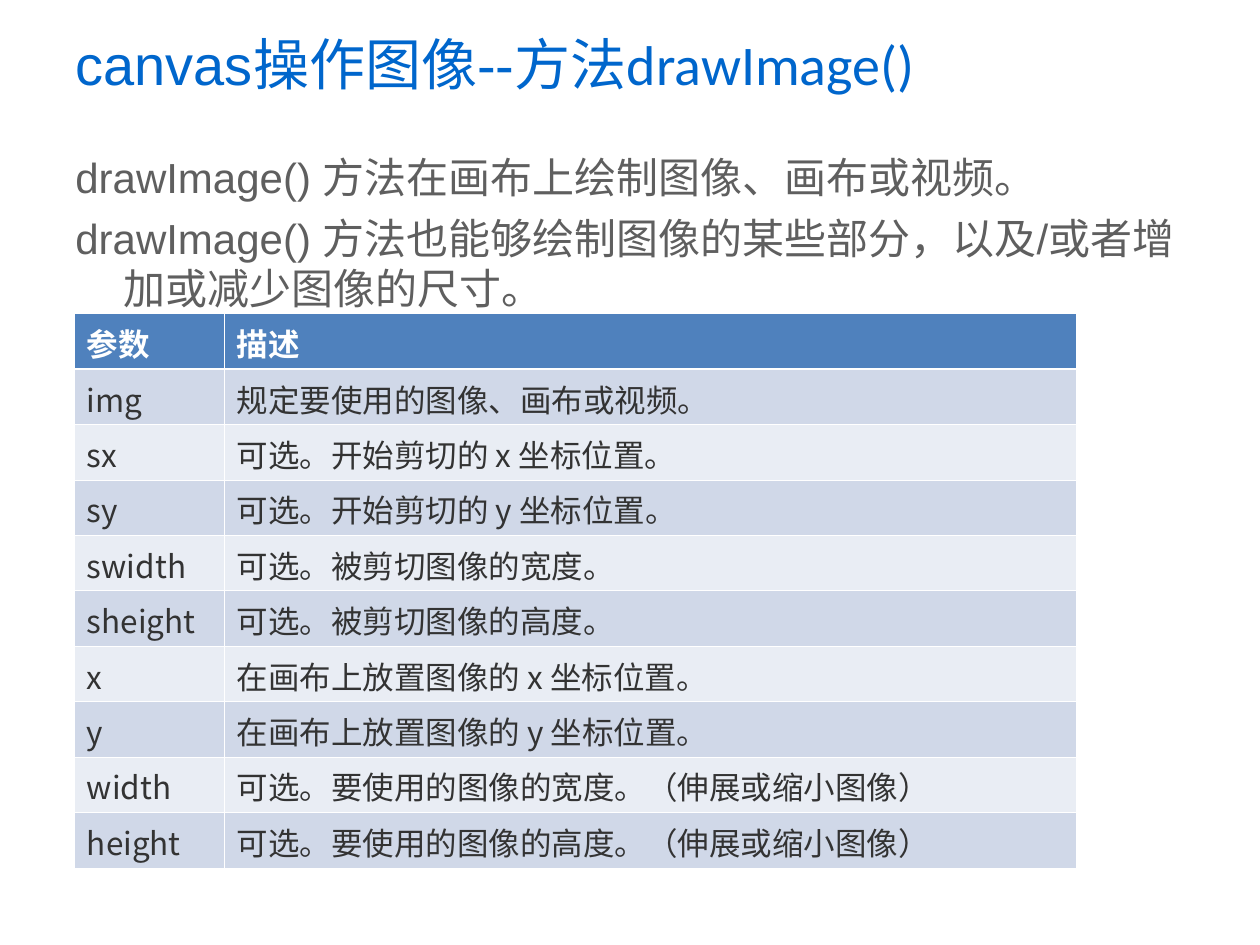
from lxml import etree
from pptx import Presentation, util as u
from pptx.dml.color import RGBColor
from pptx.enum import text
from pptx.oxml.ns import qn

TITLE = [("canvas操作图像--方法", "Arial"), ("drawImage()", "Calibri")]
BODY = [
    "drawImage() 方法在画布上绘制图像、画布或视频。",
    "drawImage() 方法也能够绘制图像的某些部分，以及/或者增加或减少图像的尺寸。",
]
PARAMETERS = [
    ("参数", "描述"),
    ("img", "规定要使用的图像、画布或视频。"),
    ("sx", "可选。开始剪切的 x 坐标位置。"),
    ("sy", "可选。开始剪切的 y 坐标位置。"),
    ("swidth", "可选。被剪切图像的宽度。"),
    ("sheight", "可选。被剪切图像的高度。"),
    ("x", "在画布上放置图像的 x 坐标位置。"),
    ("y", "在画布上放置图像的 y 坐标位置。"),
    ("width", "可选。要使用的图像的宽度。（伸展或缩小图像）"),
    ("height", "可选。要使用的图像的高度。（伸展或缩小图像）"),
]
COLORS = {"title": "0066CC", "body": "5F5F5F", "cell": "333333", "white": "FFFFFF",
          "header": "4F81BD", "odd": "D0D8E8", "even": "E9EDF4"}
TABLE_FONT = "Noto Sans CJK SC"
COLUMNS = (1.19, 6.76)
ROW_HEIGHT = 0.44
THIN, THICK = 0.45, 1.47


def color(name):
    return RGBColor.from_string(COLORS[name])


def style(para, size, name, ink, bold=False):
    font = para.font
    font.size, font.name, font.bold = u.Pt(size), name, bold
    font.color.rgb = color(ink)


def add_text_frame(page, left, top, width, height, anchor):
    box = page.shapes.add_textbox(*map(u.Inches, (left, top, width, height)))
    frame = box.text_frame
    frame.word_wrap = True
    frame.vertical_anchor = anchor
    return frame


def set_borders(cell, top, bottom):
    """Draw white lines on all four sides, placed before the cell's fill."""
    properties = cell._tc.get_or_add_tcPr()
    widths = {"a:lnL": THIN, "a:lnR": THIN, "a:lnT": top, "a:lnB": bottom}
    for position, (tag, width) in enumerate(widths.items()):
        line = etree.Element(qn(tag), w=str(u.Pt(width)))
        fill = etree.SubElement(line, qn("a:solidFill"))
        etree.SubElement(fill, qn("a:srgbClr"), val=COLORS["white"])
        properties.insert(position, line)


def add_title(page):
    frame = add_text_frame(page, 0.5, 0, 7.65, 1, text.MSO_ANCHOR.MIDDLE)
    para = frame.paragraphs[0]
    style(para, 32, "Arial", "title")
    for words, font_name in TITLE:
        span = para.add_run()
        span.text, span.font.name = words, font_name


def add_body(page):
    frame = add_text_frame(page, 0.5, 1.15, 9, 5.55, text.MSO_ANCHOR.TOP)
    frame.text = "\n".join(BODY)
    for para in frame.paragraphs:
        style(para, 24, "Arial", "body")
        para.space_before = u.Pt(6)
        indent = u.Inches(0.38)
        properties = para._p.get_or_add_pPr()
        properties.set("marL", str(indent))
        properties.set("indent", str(-indent))


def add_parameter_table(page):
    count = len(PARAMETERS)
    table = page.shapes.add_table(
        count, len(COLUMNS), u.Inches(0.59), u.Inches(2.49),
        u.Inches(sum(COLUMNS)), u.Inches(ROW_HEIGHT * count)).table
    for column, width in zip(table.columns, COLUMNS):
        column.width = u.Inches(width)
    for r, values in enumerate(PARAMETERS):
        table.rows[r].height = u.Inches(ROW_HEIGHT)
        header = r == 0
        shade = "header" if header else ("odd" if r % 2 else "even")
        for c, value in enumerate(values):
            cell = table.cell(r, c)
            cell.text = value
            cell.fill.solid()
            cell.fill.fore_color.rgb = color(shade)
            set_borders(cell, THICK if r == 1 else THIN, THICK if header else THIN)
            para = cell.text_frame.paragraphs[0]
            para.space_before = u.Pt(4.5)
            style(para, 18, TABLE_FONT, "white" if header else "cell", header)
            etree.SubElement(para.font._element, qn("a:ea"), typeface=TABLE_FONT)


def main():
    deck = Presentation()
    deck.slide_width, deck.slide_height = u.Inches(10), u.Inches(7.5)
    page = deck.slides.add_slide(deck.slide_layouts[6])
    add_title(page)
    add_body(page)
    add_parameter_table(page)
    deck.save("out.pptx")


if __name__ == "__main__":
    main()
